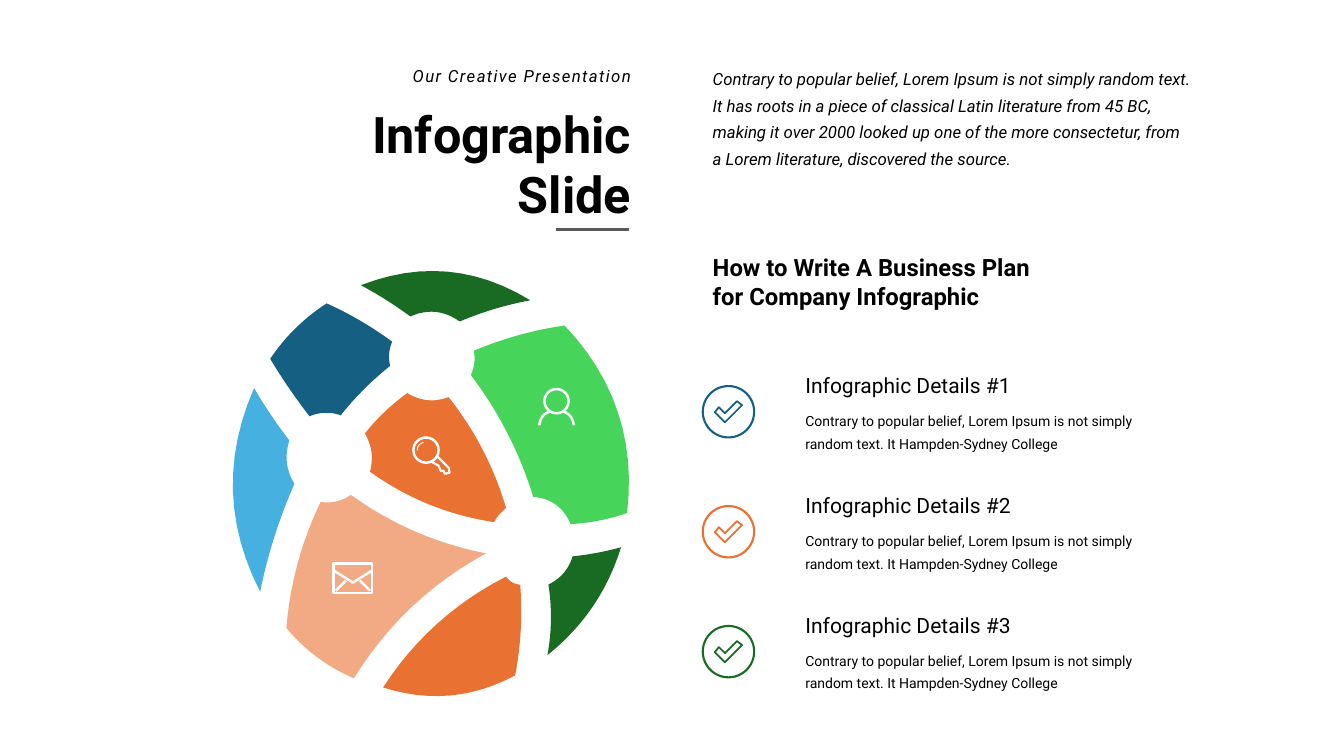
import math
import pptx
import pptx.dml.color
import pptx.enum.shapes
import pptx.enum.text
import pptx.oxml.ns
import pptx.util
from lxml import etree
from pptx.util import Inches

COLORS = {
    "black": "000000", "white": "FFFFFF", "rule": "595959",
    "navy": "156082", "sky": "46B1E1", "forest": "196B24",
    "orange": "E97132", "peach": "F2AA84", "lime": "47D45A",
}
PAINT = {name: pptx.dml.color.RGBColor.from_string(value) for name, value in COLORS.items()}
CURVE_STEPS = 12

prs = pptx.Presentation()
prs.slide_width, prs.slide_height = Inches(13.33), Inches(7.5)
slide = prs.slides.add_slide(prs.slide_layouts[6])


def add_text(box, text, size, bold=False, italic=False, align="LEFT", leading=None, spacing=None):
    frame = slide.shapes.add_textbox(*map(Inches, box)).text_frame
    frame.word_wrap = True
    frame.auto_size = pptx.enum.text.MSO_AUTO_SIZE.SHAPE_TO_FIT_TEXT
    paragraph = frame.paragraphs[0]
    paragraph.alignment = pptx.enum.text.PP_ALIGN[align]
    if leading:
        paragraph.line_spacing = pptx.util.Pt(leading)
    run = paragraph.add_run()
    run.text = text
    run.font.name, run.font.size = "Roboto", pptx.util.Pt(size)
    run.font.bold, run.font.italic = bold, italic
    run.font.color.rgb = PAINT["black"]
    if spacing:
        run.font._element.set("spc", str(spacing * 100))


def add_outline(color, corners, weight=None, closed=True):
    """Corners are (x, y) or (x, y, bulge of the edge that follows); a weight draws a line, else a fill."""
    points = [corners[0][:2]]
    ends = corners[1:] + corners[:1] if closed else corners[1:]
    for (x, y, *bulge), end in zip(corners, ends):
        dx, dy = end[0] - x, end[1] - y
        steps = CURVE_STEPS if bulge else 1
        for step in range(1, steps + 1):
            t = step / steps
            lift = 4 * t * (1 - t) * sum(bulge) / math.hypot(dx, dy)
            points.append((x + t * dx + lift * dy, y + t * dy - lift * dx))
    points = [(Inches(x), Inches(y)) for x, y in points]
    builder = slide.shapes.build_freeform(*points[0])
    builder.add_line_segments(points[1:], close=closed)
    shape = builder.convert_to_shape()
    shape.shadow.inherit = False
    if weight:
        shape.fill.background()
        shape.line.color.rgb = PAINT[color]
        shape.line.width = pptx.util.Pt(weight)
    else:
        shape.fill.solid()
        shape.fill.fore_color.rgb = PAINT[color]
        shape.line.fill.background()


# Heading and introduction
add_text((3.02, 0.97, 3.34, 1.31), "Infographic Slide", 36, bold=True, align="RIGHT")
add_text((3.37, 0.6, 2.99, 0.3), "Our Creative Presentation", 12, italic=True, align="RIGHT", spacing=1)
title_rule = slide.shapes.add_connector(
    pptx.enum.shapes.MSO_CONNECTOR.STRAIGHT, Inches(5.51), Inches(2.28), Inches(6.24), Inches(2.28))
title_rule.line.color.rgb = PAINT["rule"]
title_rule.line.width = pptx.util.Pt(2)
etree.SubElement(title_rule._element.spPr, pptx.oxml.ns.qn("a:effectLst"))
add_text((6.97, 0.57, 4.95, 1.14),
         "Contrary to popular belief, Lorem Ipsum is not simply random text. It has roots in a piece of "
         "classical Latin literature from 45 BC, making it over 2000 looked up one of the more consectetur, "
         "from a Lorem literature, discovered the source.", 12, italic=True, leading=19)

# Globe segments
globe = [
    ("navy", [(3.07, 4.13, 0.03), (3.38, 4.12, 0.02), (3.87, 3.63, 0.02), (3.89, 3.39, -0.02),
              (3.24, 3.01, -0.04), (2.68, 3.56, -0.01)]),
    ("sky", [(2.92, 4.8, 0.05), (2.87, 4.37, 0.01), (2.52, 3.85, -0.24), (2.58, 5.87, 0.03)]),
    ("forest", [(4.56, 3.19, 0.02), (5.26, 2.98, -0.21), (3.58, 2.83, 0.01), (4.07, 3.14, 0.07)]),
    ("orange", [(4.9, 5.18, 0.01), (5.02, 5.04, -0.06), (4.45, 3.94, 0.05), (4.04, 3.9, -0.02),
                (3.62, 4.3, 0.04), (3.67, 4.68, -0.08)]),
    ("forest", [(5.44, 5.8, 0.03), (5.43, 6.5, -0.1), (6.16, 5.43, 0.01), (5.68, 5.52, 0.04)]),
    ("peach", [(4.82, 5.49, 0.08), (3.48, 4.91, 0.03), (3.18, 4.98, -0.06), (2.84, 6.23, -0.05),
               (3.51, 6.73, 0.12)]),
    ("lime", [(5.6, 3.23, -0.03), (4.7, 3.48, 0.02), (4.67, 3.72, 0.06), (5.29, 4.93, 0.07),
              (5.66, 5.2, -0.02), (6.22, 5.09, -0.23)]),
    ("orange", [(5.02, 5.72, -0.11), (3.8, 6.82, -0.14), (5.11, 6.7, -0.03), (5.16, 5.8, 0.02)]),
]
for color, segment in globe:
    add_outline(color, segment)

# Details with check marks
add_text((6.97, 2.46, 3.54, 0.67), "How to Write A Business Plan for Company Infographic", 17, bold=True)
check = [(7.09, 4.09), (7.13, 4.04), (7.19, 4.1), (7.31, 3.98), (7.36, 4.02), (7.19, 4.19)]
rings = [(5.4, 3.86, 0.24, "white", 1.75), (4.1, 4.34, 0.25, "white", 1.75)]
for row, color in enumerate(("navy", "orange", "forest")):
    down = row * 1.19
    add_outline(color, [(x, y + down) for x, y in check], 1.25)
    rings.append((6.97, 3.83 + down, 0.51, color, 1.5))
    add_text((7.89, 3.65 + down, 2.89, 0.35), f"Infographic Details #{row + 1}", 15)
    add_text((7.89, 3.99 + down, 3.94, 0.53),
             "Contrary to popular belief, Lorem Ipsum is not simply random text. It Hampden-Sydney College",
             10, leading=16)

# Circles of the person, the key and the check marks
for left, top, size, color, weight in rings:
    ring = slide.shapes.add_shape(pptx.enum.shapes.MSO_SHAPE.OVAL, *map(Inches, (left, top, size, size)))
    ring.shadow.inherit = False
    ring.fill.background()
    ring.line.color.rgb = PAINT[color]
    ring.line.width = pptx.util.Pt(weight)

# Mirrored halves: shoulders of the person, lower folds of the envelope
for side in (-1, 1):
    add_outline("white", [(5.52 + side * 0.17, 4.22, -side * 0.03), (5.52 + side * 0.06, 4.08)], 1.75, False)
    add_outline("white", [(3.5 + side * 0.17, 5.86), (3.5 + side * 0.07, 5.76)], 1.75, False)

# Envelope body and flap
add_outline("white", [(3.31, 5.59), (3.69, 5.59), (3.69, 5.88), (3.31, 5.88)], 1.75)
add_outline("white", [(3.31, 5.66), (3.5, 5.78), (3.69, 5.66)], 1.75, False)

# Key shaft and glint
add_outline("white", [(4.33, 4.52), (4.45, 4.64), (4.46, 4.69), (4.41, 4.7), (4.4, 4.67), (4.37, 4.67),
                      (4.35, 4.62), (4.28, 4.58)], 1.5, False)
add_outline("white", [(4.14, 4.47, 0.02), (4.2, 4.39)], 0.75, False)

prs.save("out.pptx")
